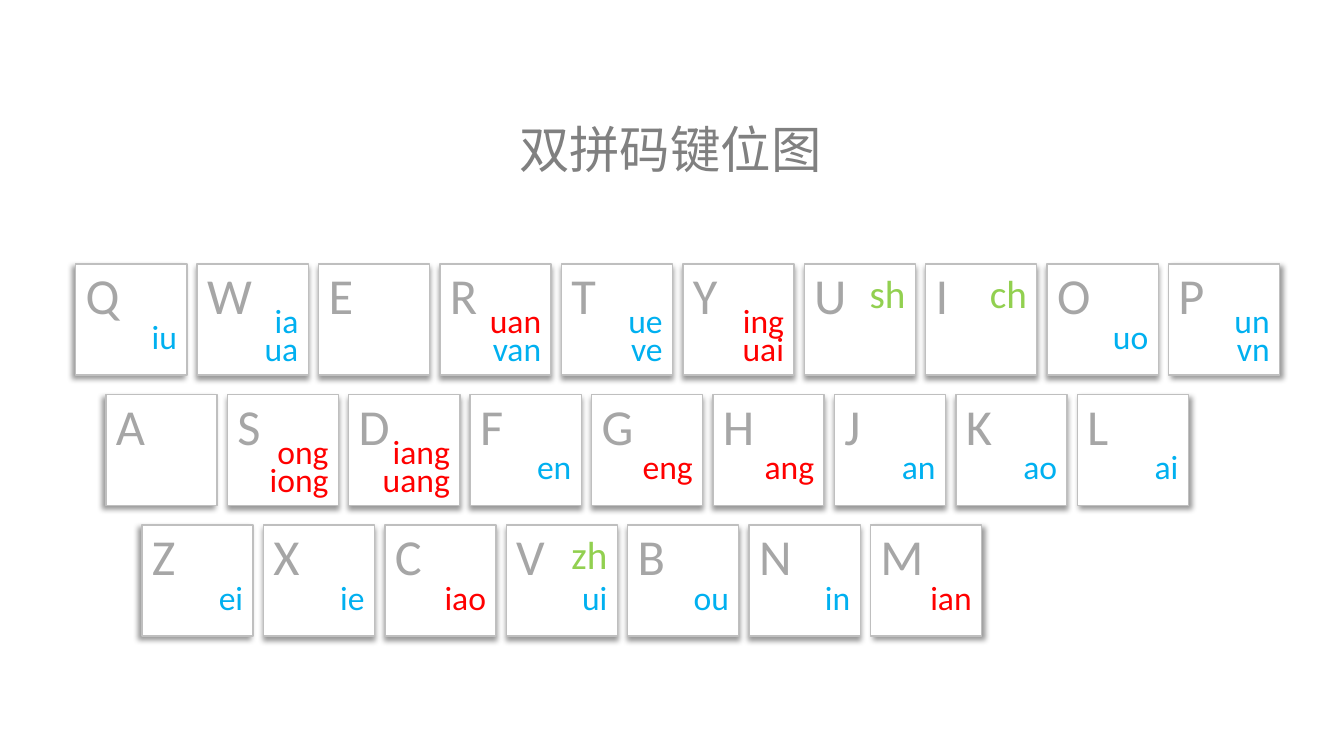
import lxml.etree
import pptx
import pptx.dml.color
import pptx.enum.shapes
import pptx.enum.text
import pptx.oxml
import pptx.oxml.ns
import pptx.util

Cm, Pt = pptx.util.Cm, pptx.util.Pt
ALIGN = pptx.enum.text.PP_ALIGN
ANCHOR = pptx.enum.text.MSO_ANCHOR
NO_FIT = pptx.enum.text.MSO_AUTO_SIZE.NONE
GREY, GREEN, RED, BLUE = "A6A6A6", "92D050", "FF0000", "00B0F0"

KEY_SIZE, KEY_PITCH, ROW_PITCH, FIRST_ROW_TOP = 2.8, 3.06, 3.29, 6.65
ROW_LEFTS = [1.91, 2.67, 3.58]
# Each key: letter, initial (or ""), finals
KEY_ROWS = [
    [("Q", "", ["iu"]), ("W", "", ["ia", "ua"]), ("E", "", []),
     ("R", "", ["uan", "van"]), ("T", "", ["ue", "ve"]),
     ("Y", "", ["ing", "uai"]), ("U", "sh", []), ("I", "ch", []),
     ("O", "", ["uo"]), ("P", "", ["un", "vn"])],
    [("A", "", []), ("S", "", ["ong", "iong"]), ("D", "", ["iang", "uang"]),
     ("F", "", ["en"]), ("G", "", ["eng"]), ("H", "", ["ang"]),
     ("J", "", ["an"]), ("K", "", ["ao"]), ("L", "", ["ai"])],
    [("Z", "", ["ei"]), ("X", "", ["ie"]), ("C", "", ["iao"]),
     ("V", "zh", ["ui"]), ("B", "", ["ou"]), ("N", "", ["in"]),
     ("M", "", ["ian"])],
]
# Calibri character widths, in ems
CHARACTER_WIDTHS = {
    "A": .58, "B": .54, "C": .53, "D": .62, "E": .49, "F": .46, "G": .63,
    "H": .62, "I": .25, "J": .32, "K": .52, "L": .42, "M": .86, "N": .65,
    "O": .66, "P": .52, "Q": .67, "R": .54, "S": .46, "T": .49, "U": .64,
    "V": .57, "W": .89, "X": .52, "Y": .49, "Z": .47,
    "a": .48, "c": .42, "e": .5, "g": .47, "h": .53, "i": .23, "n": .53,
    "o": .53, "s": .39, "u": .53, "v": .45, "z": .4,
}


def paint(color_format, hex_color):
    """Set a colour format to a hex colour."""
    color_format.rgb = pptx.dml.color.RGBColor.from_string(hex_color)


def add_label(shapes, lines, edge, top, height, size, align, spacing=None):
    """Add (text, colour) lines whose box touches edge on its aligned side."""
    ems = max(sum(CHARACTER_WIDTHS[c] for c in text) for text, _ in lines)
    width = round(ems * size * 2.54 / 72 + 0.52, 2)
    left = edge - width if align == ALIGN.RIGHT else edge
    box = shapes.add_textbox(Cm(left), Cm(top), Cm(width), Cm(height))
    frame = box.text_frame
    frame.word_wrap = False
    for index, (text, color) in enumerate(lines):
        paragraph = frame.add_paragraph() if index else frame.paragraphs[0]
        for name, value in {"alignment": align, "line_spacing": spacing}.items():
            setattr(paragraph, name, value)
        run = paragraph.add_run()
        run.text = text
        for name, value in {"name": "Calibri", "size": Pt(size)}.items():
            setattr(run.font, name, value)
        paint(run.font.color, color)


presentation = pptx.Presentation()
presentation.slide_width, presentation.slide_height = Cm(33.87), Cm(19.05)
slide = presentation.slides.add_slide(presentation.slide_layouts[5])

# Title
title = slide.shapes.title
for name, value in {"left": 12.83, "top": 2.85, "width": 8.2, "height": 1.8}.items():
    setattr(title, name, Cm(value))
title_frame = title.text_frame
for name, value in {"auto_size": NO_FIT, "word_wrap": False,
                    "vertical_anchor": ANCHOR.MIDDLE}.items():
    setattr(title_frame, name, value)
title_frame.paragraphs[0].alignment = ALIGN.LEFT
title_run = title_frame.paragraphs[0].add_run()
title_run.text = "双拼码键位图"
for name, value in {"name": "Noto Sans CJK SC", "size": Pt(36)}.items():
    setattr(title_run.font, name, value)
paint(title_run.font.color, "808080")
east_asian = lxml.etree.SubElement(
    title_run.font._element, pptx.oxml.ns.qn("a:ea"))
east_asian.set("typeface", "Noto Sans CJK SC")

# Keyboard
for row_index, (row_left, keys) in enumerate(zip(ROW_LEFTS, KEY_ROWS)):
    top = FIRST_ROW_TOP + row_index * ROW_PITCH
    row_shapes = slide.shapes.add_group_shape().shapes
    for key_index, (letter, initial, finals) in enumerate(keys):
        left = row_left + key_index * KEY_PITCH
        right = left + KEY_SIZE
        key = row_shapes.add_shape(
            pptx.enum.shapes.MSO_SHAPE.RECTANGLE,
            Cm(left), Cm(top), Cm(KEY_SIZE), Cm(KEY_SIZE))
        key.fill.solid()
        paint(key.fill.fore_color, "FFFFFF")
        paint(key.line.color, "BFBFBF")
        key.line.width = Pt(1)

        # Shadows fall outwards at both ends of a row, straight down between
        angle = {0: 135, len(keys) - 1: 45}.get(key_index, 90)
        key.shadow.inherit = False
        effects = key._element.spPr.find(pptx.oxml.ns.qn("a:effectLst"))
        effects.append(pptx.oxml.parse_xml(
            f'<a:outerShdw {pptx.oxml.ns.nsdecls("a")} blurRad="{Pt(4)}" '
            f'dist="{Pt(3)}" dir="{angle * 60000}" algn="ctr" rotWithShape="0">'
            '<a:srgbClr val="000000"><a:alpha val="40000"/></a:srgbClr>'
            '</a:outerShdw>'))

        add_label(row_shapes, [(letter, GREY)], left, top - 0.11, 1.8, 36,
                  ALIGN.LEFT)
        if initial:
            add_label(row_shapes, [(initial, GREEN)], right, top, 1.45, 28,
                      ALIGN.RIGHT)
        if finals:
            lines = [(final, RED if len(final) > 2 and final != "van" else BLUE)
                     for final in finals]
            offset, height = (1.49, 0.98) if len(lines) == 1 else (1.1, 1.7)
            add_label(row_shapes, lines, right, top + offset, height, 24,
                      ALIGN.RIGHT, Pt(20))

presentation.save("out.pptx")
